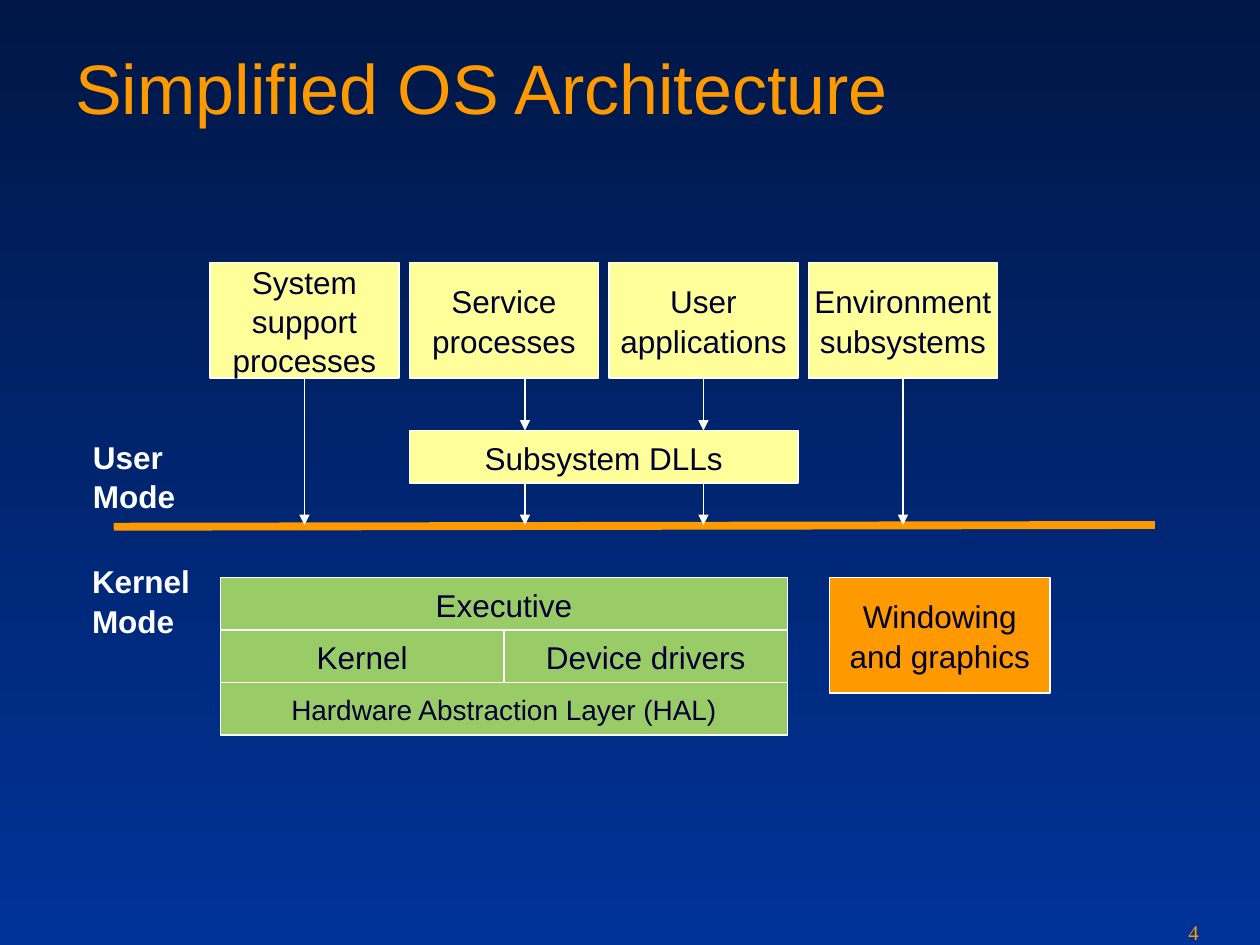
from lxml import etree
from pptx import Presentation
from pptx.dml.color import RGBColor
from pptx.enum import shapes, text
from pptx.oxml import ns
from pptx.util import Pt

NAVY = RGBColor(0x00, 0x17, 0x46)
BLUE = RGBColor(0x00, 0x33, 0x99)
INK = RGBColor(0x00, 0x00, 0x33)
WHITE = RGBColor(0xFF, 0xFF, 0xFF)
ORANGE = RGBColor(0xFE, 0x99, 0x00)
YELLOW = RGBColor(0xFF, 0xFF, 0x99)
GREEN = RGBColor(0x99, 0xCC, 0x66)

deck = Presentation()
deck.slide_width, deck.slide_height = Pt(720), Pt(540)
page = deck.slides.add_slide(deck.slide_layouts[6])


def add_text(words, left, top, width, height, fill=None, size=18, color=INK,
             font="Arial", bold=False, wrap=False, spacing=1.04):
    """Add a filled, centred box, or plain text if there is no fill.

    In words, a newline starts a paragraph and \\v breaks a line.
    """
    place = Pt(left), Pt(top), Pt(width), Pt(height)
    if fill is None:
        box = page.shapes.add_textbox(*place)
    else:
        box = page.shapes.add_shape(shapes.MSO_SHAPE.RECTANGLE, *place)
        box.shadow.inherit = False
        box.fill.solid()
        box.fill.fore_color.rgb = fill
        box.line.color.rgb = WHITE
        box.line.width = Pt(0.75)
        box.text_frame.vertical_anchor = text.MSO_ANCHOR.MIDDLE
    frame = box.text_frame
    frame.word_wrap = wrap
    frame.text = words
    for para in frame.paragraphs:
        para.alignment = text.PP_ALIGN.CENTER if fill else text.PP_ALIGN.LEFT
        para.line_spacing = spacing
        for span in para.runs:
            span.font.name = font
            span.font.size = Pt(size)
            span.font.bold = bold
            span.font.color.rgb = color


def add_line(x1, y1, x2, y2, color=WHITE, width=0.75, arrow=True):
    line = page.shapes.add_connector(
        shapes.MSO_CONNECTOR.STRAIGHT, Pt(x1), Pt(y1), Pt(x2), Pt(y2))
    line.line.color.rgb = color
    line.line.width = Pt(width)
    if arrow:
        stroke = line.line._get_or_add_ln()
        etree.SubElement(stroke, ns.qn("a:tailEnd"), type="triangle")
    etree.SubElement(line._element.spPr, ns.qn("a:effectLst"))


# Background, dark at the top
backdrop = page.background.fill
backdrop.gradient()
backdrop.gradient_angle = 270
for stop, color, position in zip(backdrop.gradient_stops, (NAVY, BLUE), (0, 1)):
    stop.color.rgb = color
    stop.position = position

# Title
add_text("Simplified OS Architecture", 36, 18, 648, 90,
         size=40, color=ORANGE, wrap=True, spacing=1.08)

# User mode: a row of processes above the shared DLLs
processes = ["System\vsupport\vprocesses", "Service\vprocesses",
             "User\vapplications", "Environment\vsubsystems"]
for column, name in enumerate(processes):
    add_text(name, 120 + 114 * column, 150, 108, 66, fill=YELLOW)
add_text("Subsystem DLLs", 234, 246, 222, 30, fill=YELLOW)

# Kernel mode: the layer stack, and windowing beside it
layers = [
    [("Executive", 18)],
    [("Kernel", 18), ("Device drivers", 18)],
    [("Hardware Abstraction Layer (HAL)", 16)],
]
for row, layer in enumerate(layers):
    width = 324 / len(layer)
    for column, (name, size) in enumerate(layer):
        add_text(name, 126 + width * column, 330 + 30 * row, width, 30,
                 fill=GREEN, size=size)
add_text("Windowing\vand graphics", 474, 330, 126, 66, fill=ORANGE)

# Boundary between the modes, with its labels
add_line(65, 301, 660, 300, color=ORANGE, width=4.5, arrow=False)
add_text("User\nMode", 46, 246, 62, 50, color=WHITE, bold=True)
add_text("Kernel\nMode", 45.5, 317, 70.5, 50, color=WHITE, bold=True)

# Calls down to the boundary, direct or by way of the DLLs
for x in (174, 516):
    add_line(x, 216, x, 300)
for x in (300, 402):
    add_line(x, 276, x, 300)
    add_line(x, 216, x, 246)

# Page number
add_text("4", 672, 522, 48, 18, size=12, color=ORANGE,
         font="Times New Roman", wrap=True, spacing=1)

deck.save("out.pptx")
